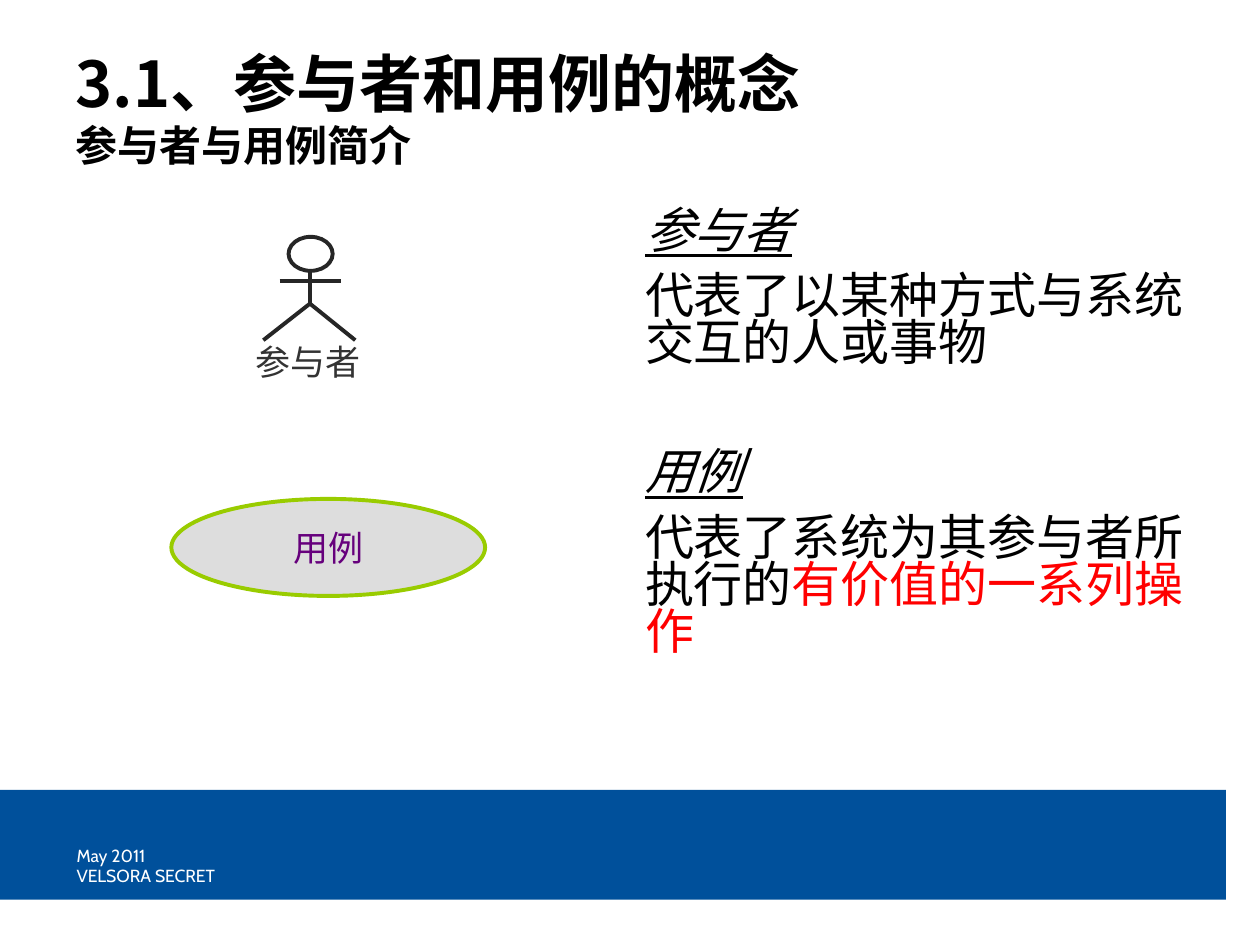
from lxml.etree import SubElement
from pptx import Presentation
from pptx.dml.color import RGBColor
from pptx.enum.shapes import MSO_CONNECTOR, MSO_SHAPE
from pptx.enum.text import MSO_ANCHOR, PP_ALIGN
from pptx.oxml.ns import qn
from pptx.util import Inches, Pt

BLACK = RGBColor(0, 0, 0)
WHITE = RGBColor(255, 255, 255)
BLUE = RGBColor(0x00, 0x50, 0x9B)
RED = RGBColor(255, 0, 0)
INK = RGBColor(0x26, 0x26, 0x26)
GRAY = RGBColor(0x33, 0x33, 0x33)
PALE = RGBColor(0xDD, 0xDD, 0xDD)
GREEN = RGBColor(0x99, 0xCC, 0x00)
PURPLE = RGBColor(0x66, 0x00, 0x7C)


def add_run(para, text, size, color=BLACK, face="Arial", bold=False, term=False):
    run = para.add_run()
    run.text = text
    font = run.font
    font.size, font.name, font.bold = Pt(size), face, bold
    font.italic = font.underline = term
    font.color.rgb = color


def add_box(slide, left, top, width, height, pad=0.1):
    box = slide.shapes.add_textbox(*map(Inches, (left, top, width, height)))
    frame = box.text_frame
    frame.word_wrap = True
    frame.margin_left = frame.margin_right = Inches(pad)
    frame.margin_top = frame.margin_bottom = Inches(pad / 2)
    return frame


def add_form(shapes, kind, left, top, width, height, fill=None, line=None):
    form = shapes.add_shape(kind, *map(Inches, (left, top, width, height)))
    form.shadow.inherit = False
    if fill is None:
        form.fill.background()
    else:
        form.fill.solid()
        form.fill.fore_color.rgb = fill
    if line is None:
        form.line.fill.background()
    else:
        form.line.color.rgb = line
        form.line.width = Pt(2.25)
    return form


def add_line(shapes, start, end):
    line = shapes.add_connector(MSO_CONNECTOR.STRAIGHT, *map(Inches, start + end))
    line.line.color.rgb = INK
    line.line.width = Pt(2.25)
    SubElement(line._element.spPr, qn("a:effectLst"))


def add_actor(slide):
    shapes = slide.shapes.add_group_shape().shapes
    neck, hip = (2.46, 2.16), (2.46, 2.41)
    add_form(shapes, MSO_SHAPE.OVAL, 2.29, 1.88, 0.35, 0.27, line=INK)
    add_line(shapes, (2.22, 2.23), (2.71, 2.23))
    add_line(shapes, neck, hip)
    for foot in ((2.09, 2.7), (2.82, 2.7)):
        add_line(shapes, hip, foot)
    para = add_box(slide, 1.77, 2.65, 1.35, 0.43).paragraphs[0]
    para.alignment = PP_ALIGN.CENTER
    add_run(para, "参与者", 20, GRAY)


def add_case(slide):
    oval = add_form(slide.shapes, MSO_SHAPE.OVAL, 1.36, 3.96, 2.49, 0.77, PALE, GREEN)
    frame = oval.text_frame
    frame.word_wrap = False
    frame.vertical_anchor = MSO_ANCHOR.MIDDLE
    para = frame.paragraphs[0]
    para.alignment = PP_ALIGN.CENTER
    add_run(para, "用例", 20, PURPLE)


def add_title(slide):
    para = add_box(slide, 0.5, 0.3, 7.41, 1.25).paragraphs[0]
    face = "Noto Sans CJK SC"
    add_run(para, "3.1、参与者和用例的概念", 36, face=face, bold=True)
    para.add_line_break()
    add_run(para, "参与者与用例简介", 24, face=face, bold=True)


def add_terms(slide):
    frame = add_box(slide, 5, 1.61, 4.56, 4.41, 0.12)
    rows = [
        (0, True, [("参与者", BLACK)]),
        (10.5, False, [("代表了以某种方式与系统交互的人或事物", BLACK)]),
        (47, True, [("用例", BLACK)]),
        (10.5, False, [("代表了系统为其参与者所执行的", BLACK),
                       ("有价值的一系列操作", RED)]),
    ]
    for i, (gap, term, runs) in enumerate(rows):
        para = frame.add_paragraph() if i else frame.paragraphs[0]
        para.line_spacing = 0.8
        para.space_before = Pt(gap)
        for text, color in runs:
            add_run(para, text, 28, color, term=term)


def add_footer(slide):
    add_form(slide.shapes, MSO_SHAPE.RECTANGLE, 0, 6.27, 9.73, 0.87, BLUE)
    for top, text in ((6.66, "May 2011"), (6.82, "VELSORA SECRET")):
        para = add_box(slide, 0.51, top, 3.15, 0.27).paragraphs[0]
        add_run(para, text, 10, WHITE, "Cabin")


def main():
    """Build the slide on actors and use cases."""
    deck = Presentation()
    deck.slide_width, deck.slide_height = Inches(10), Inches(7.5)
    slide = deck.slides.add_slide(deck.slide_layouts[6])
    add_footer(slide)
    add_title(slide)
    add_terms(slide)
    add_actor(slide)
    add_case(slide)
    deck.save("out.pptx")


if __name__ == "__main__":
    main()
